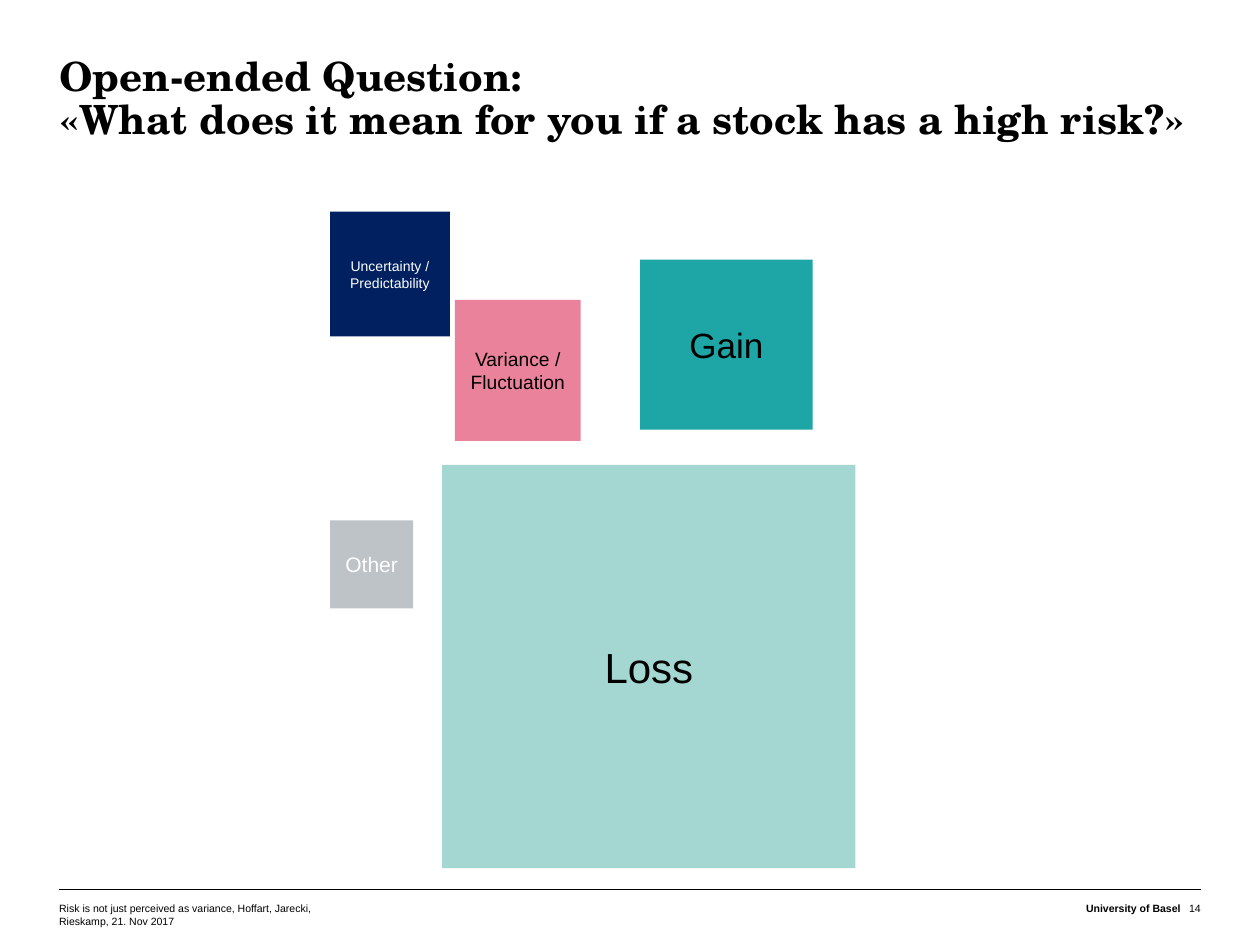
"""Build the slide on what a high-risk stock means to respondents."""
import pptx
import pptx.util
import pptx.dml.color
import pptx.enum.shapes
import pptx.enum.text
import pptx.oxml.xmlchemy

Inches, Pt = pptx.util.Inches, pptx.util.Pt
RGB = pptx.dml.color.RGBColor.from_string
ALIGN = pptx.enum.text.PP_ALIGN
ANCHOR = pptx.enum.text.MSO_ANCHOR

THEME = {
    "heading": "TeX Gyre Schola", "body": "Arial",
    "title_size": 23, "title_leading": 25, "footer_size": 6,
    "black": "000000", "white": "FFFFFF", "mint": "A5D7D2", "teal": "1EA5A5",
    "pink": "EB829B", "navy": "002060", "grey": "BEC3C8",
}
LEFT, RIGHT = 0.47, 9.53
RULE_Y, FOOTER_Y, FOOTER_H = 7.06, 7.14, 0.2

TITLE = ["Open-ended Question:", "«What does it mean for you if a stock has a high risk?»"]
FOOTERS = [
    ("Risk is not just perceived as variance, Hoffart, Jarecki, Rieskamp, 21. Nov 2017",
     LEFT, 2.36, ALIGN.LEFT, False),
    ("University of Basel", 7.28, 2.09, ALIGN.RIGHT, True),
    ("14", 9.37, 0.16, ALIGN.RIGHT, False),
]
CATEGORIES = [
    ("Loss", (3.51, 3.69, 3.28, 3.2), "mint", "black", 24),
    ("Gain", (5.08, 2.06, 1.37, 1.35), "teal", "black", 20),
    ("Variance / Fluctuation", (3.61, 2.38, 1, 1.12), "pink", "black", 11),
    ("Uncertainty / Predictability", (2.62, 1.68, 0.95, 0.99), "navy", "white", 8),
    ("Other", (2.62, 4.13, 0.66, 0.7), "grey", "white", 12),
]


def set_all(obj, values):
    for name, value in values.items():
        setattr(obj, name, value)


def set_frame(tf, anchor, top=0.0, side=0.0):
    set_all(tf, {
        "word_wrap": True, "auto_size": pptx.enum.text.MSO_AUTO_SIZE.NONE,
        "vertical_anchor": anchor, "margin_top": Inches(top), "margin_bottom": 0,
        "margin_left": Inches(side), "margin_right": Inches(side),
    })


def write(p, lines, size, align, color="black", face="body", bold=False):
    p.alignment = align
    for i, line in enumerate(lines):
        if i:
            p.add_line_break()
        r = p.add_run()
        r.text = line
        set_all(r.font, {"name": THEME[face], "size": Pt(size), "bold": bold})
        r.font.color.rgb = RGB(THEME[color])


def add_title(s):
    sp = s.shapes.title
    set_all(sp, {"left": Inches(LEFT), "top": Inches(0.44),
                 "width": Inches(RIGHT - LEFT), "height": Inches(0.83)})
    set_frame(sp.text_frame, ANCHOR.TOP)
    p = sp.text_frame.paragraphs[0]
    set_all(p, {"line_spacing": Pt(THEME["title_leading"]), "space_before": Pt(0)})
    write(p, TITLE, THEME["title_size"], ALIGN.LEFT, face="heading", bold=True)


def add_footer(s):
    rule = s.shapes.add_connector(
        pptx.enum.shapes.MSO_CONNECTOR.STRAIGHT,
        *map(Inches, (LEFT, RULE_Y, RIGHT, RULE_Y)))
    rule.line.width = Pt(0.25)
    rule.line.color.rgb = RGB(THEME["black"])
    rule._element.spPr.append(pptx.oxml.xmlchemy.OxmlElement("a:effectLst"))
    for text, left, width, align, bold in FOOTERS:
        sp = s.shapes.add_textbox(*map(Inches, (left, FOOTER_Y, width, FOOTER_H)))
        set_frame(sp.text_frame, ANCHOR.TOP, top=0.02)
        write(sp.text_frame.paragraphs[0], [text], THEME["footer_size"], align, bold=bold)


def add_category(s, label, box, fill, color, size):
    sp = s.shapes.add_shape(pptx.enum.shapes.MSO_SHAPE.RECTANGLE, *map(Inches, box))
    sp.shadow.inherit = False
    sp.fill.solid()
    sp.fill.fore_color.rgb = RGB(THEME[fill])
    sp.line.fill.background()
    set_frame(sp.text_frame, ANCHOR.MIDDLE, side=0.1)
    write(sp.text_frame.paragraphs[0], [label], size, ALIGN.CENTER, color)


def main():
    prs = pptx.Presentation()
    set_all(prs, {"slide_width": Inches(10), "slide_height": Inches(7.5)})
    s = prs.slides.add_slide(prs.slide_layouts.get_by_name("Title Only"))
    add_title(s)
    add_footer(s)
    for category in CATEGORIES:
        add_category(s, *category)
    prs.save("out.pptx")


if __name__ == "__main__":
    main()
